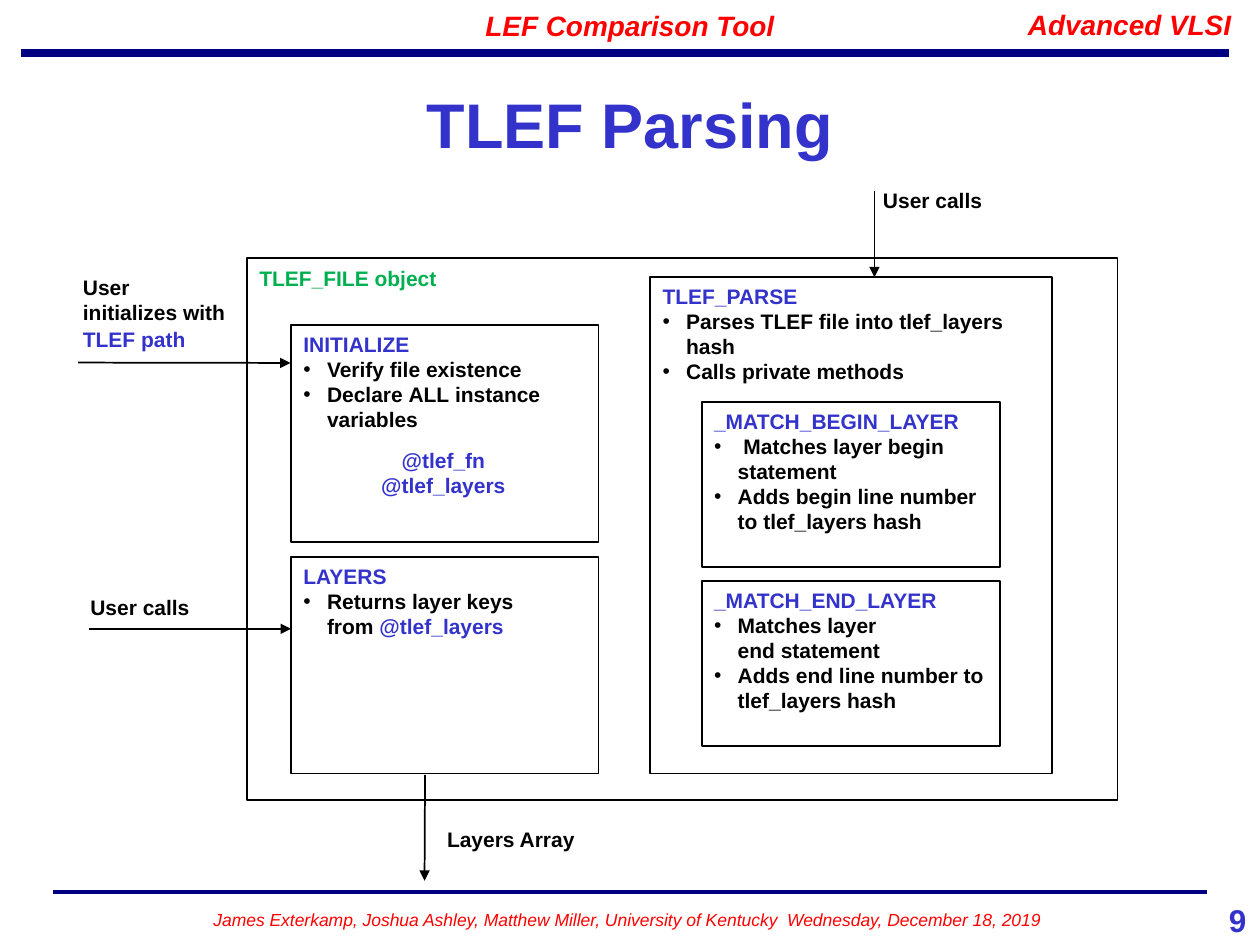
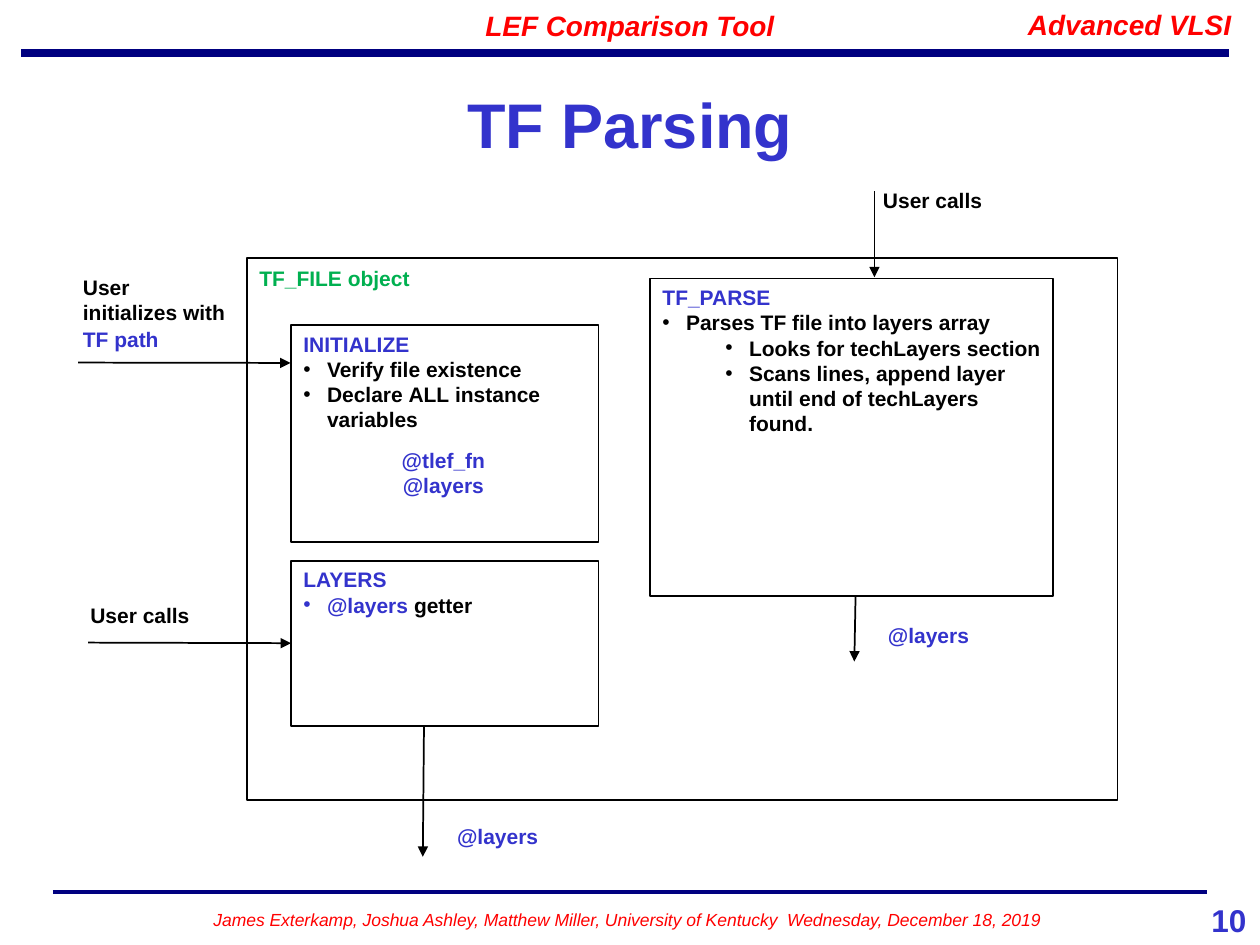
from lxml import etree
from pptx import Presentation
from pptx.dml import color
from pptx.enum import shapes, text
from pptx.oxml import ns
from pptx.util import Pt

BLUE, BLACK, RED, GREEN, NAVY, WHITE = "3333CC", "000000", "FF0000", "00B050", "000080", "FFFFFF"
FONT = "Arial"
NBSP = chr(160)
LEFT, CENTER, RIGHT = text.PP_ALIGN.LEFT, text.PP_ALIGN.CENTER, text.PP_ALIGN.RIGHT

COURSE = "Advanced VLSI"
PROJECT = "LEF Comparison Tool"
AUTHORS = ("James Exterkamp, Joshua Ashley, Matthew Miller, University of Kentucky"
           "  Wednesday, December 18, 2019")

BULLET_HANG = 13.5
SUB_INDENT = 36
METHOD_LEFT, METHOD_WIDTH = 166.3, 175.7
PARSE_LEFT = 371.5
MATCH_LEFT, MATCH_WIDTH, MATCH_HEIGHT = 401, 170.6, 94.3
INITIALIZE = ("INITIALIZE", ["Verify file existence",
                             f"Declare{NBSP}ALL{NBSP}instance variables"])

PAGES = [
    {
        "number": "9", "title": "TLEF Parsing", "format": "TLEF",
        "variables": ["@tlef_fn", "@tlef_layers"],
        "boxes": [
            ("TLEF_PARSE", ["Parses TLEF file into tlef_layers hash", "Calls private methods"],
             (PARSE_LEFT, 158.4, 229.7, 283.7)),
            ("_MATCH_BEGIN_LAYER", [" Matches layer begin statement",
                                    "Adds begin line number to tlef_layers hash"],
             (MATCH_LEFT, 229.7, MATCH_WIDTH, MATCH_HEIGHT)),
            ("_MATCH_END_LAYER", [f"Matches layer end{NBSP}statement",
                                  "Adds end line number to tlef_layers hash"],
             (MATCH_LEFT, 331.9, MATCH_WIDTH, MATCH_HEIGHT)),
            ("LAYERS", [[(f"Returns layer keys from{NBSP}", BLACK), ("@tlef_layers", BLUE)]],
             (METHOD_LEFT, 318.2, METHOD_WIDTH, 123.8)),
        ],
        "labels": [
            ("User calls", BLACK, LEFT, (44.6, 336.2, 105.1, 21.6)),
            ("Layers Array", BLACK, LEFT, (248.4, 468.7, 146.2, 21.6)),
        ],
        "arrows": [
            ((51.1, 359.3), (166.3, 359.3), None),
            ((242.9, 442.8), (242.6, 503.3), None),
        ],
    },
    {
        "number": "10", "title": "TF Parsing", "format": "TF",
        "variables": ["@tlef_fn", "@layers"],
        "boxes": [
            ("TF_PARSE", [f"Parses TF file into layers{NBSP}array",
                          ["Looks for techLayers section",
                           "Scans lines, append layer until end of techLayers found."]],
             (PARSE_LEFT, 159.1, 230.4, 181.4)),
            ("LAYERS", [[("@layers", BLUE), (" getter", BLACK)]],
             (METHOD_LEFT, 320.4, METHOD_WIDTH, MATCH_HEIGHT)),
        ],
        "labels": [
            ("User calls", BLACK, LEFT, (44.6, 340.6, 105.1, 21.6)),
            ("@layers", BLUE, CENTER, (473, 352.1, 115.2, 21.6)),
            ("@layers", BLUE, CENTER, (226.8, 467.3, 115.2, 21.6)),
        ],
        "arrows": [
            ((50.4, 367.2), (166.3, 367.6), "LAYERS"),
            ((488.9, 340.6), (488.2, 378)  , None),
            ((242.3, 414.7), (241.6, 489.6), None),
        ],
    },
]


def rgb(value):
    return color.RGBColor.from_string(value)


def points(values):
    return [Pt(value) for value in values]


def style(font, size, shade, bold=True, italic=False):
    font.name, font.size = FONT, Pt(size)
    font.bold, font.italic = bold, italic
    font.color.rgb = rgb(shade)


def write(para, spans, size=12, align=LEFT, bold=True, italic=False):
    para.alignment = align
    base = spans[0][1]
    style(para.font, size, base, bold, italic)
    for words, shade in spans:
        span = para.add_run()
        span.text = words
        if shade != base:
            span.font.color.rgb = rgb(shade)


def next_para(frame):
    first = frame.paragraphs[0]
    return frame.add_paragraph() if first.runs else first


def add_text(page, lines, shade, area, align=LEFT, **look):
    frame = page.shapes.add_textbox(*points(area)).text_frame
    frame.word_wrap = True
    for line in lines:
        write(next_para(frame), [(line, shade)], align=align, **look)


def add_bullet(frame, spans, level=0):
    para = next_para(frame)
    write(para, spans)
    para.level = level
    props = para._p.get_or_add_pPr()
    props.set("marL", str(Pt(BULLET_HANG + level * SUB_INDENT)))
    props.set("indent", str(-Pt(BULLET_HANG)))
    marks = [etree.Element(ns.qn("a:buFont"), typeface=FONT),
             etree.Element(ns.qn("a:buChar"), char="•")]
    for place, mark in enumerate(marks):
        props.insert(place, mark)


def add_rectangle(page, area, fill=None):
    box = page.shapes.add_shape(shapes.MSO_SHAPE.RECTANGLE, *points(area))
    box.shadow.inherit = False
    box.line.color.rgb = rgb(BLACK)
    box.line.width = Pt(1)
    if fill:
        box.fill.solid()
        box.fill.fore_color.rgb = rgb(fill)
    else:
        box.fill.background()
    return box


def add_method(page, name, items, area):
    box = add_rectangle(page, area, WHITE)
    frame = box.text_frame
    frame.word_wrap = True
    frame.vertical_anchor = text.MSO_ANCHOR.TOP
    write(next_para(frame), [(name, BLUE)])
    for item in items:
        if isinstance(item, str):
            add_bullet(frame, [(item, BLACK)])
        elif isinstance(item[0], tuple):
            add_bullet(frame, item)
        else:
            for sub in item:
                add_bullet(frame, [(sub, BLACK)], level=1)
    return box


def add_line(page, start, end, shade=BLACK, width=1.0):
    line = page.shapes.add_connector(shapes.MSO_CONNECTOR.STRAIGHT, *points(start + end))
    line.line.color.rgb = rgb(shade)
    line.line.width = Pt(width)
    etree.SubElement(line._element.spPr, ns.qn("a:effectLst"))
    return line


def add_arrow(page, start, end, target=None):
    arrow = add_line(page, start, end)
    etree.SubElement(arrow.line._get_or_add_ln(), ns.qn("a:tailEnd"), type="triangle")
    if target is not None:
        arrow.end_connect(target, 1)


def add_common(page, title, number):
    add_line(page, (12.2, 30.2), (702, 30.2), NAVY, 4.5)
    add_line(page, (30.2, 509.8), (689.8, 509.8), NAVY, 2.25)
    add_text(page, [COURSE], RED, (571, 0.7, 139.7, 26.6), RIGHT, size=16, italic=True)
    add_text(page, [AUTHORS], RED, (30.2, 516.2, 655.9, 19.4), CENTER,
             size=10, bold=False, italic=True)
    add_text(page, [number], BLUE, (648, 511.2, 71.3, 28.8), RIGHT, size=18)
    add_text(page, [PROJECT], RED, (0, 1.4, 720, 26.6), CENTER, size=16, italic=True)
    heading = page.shapes.title
    heading.left, heading.top, heading.width, heading.height = points((54, 40.3, 612, 59.8))
    heading.text_frame.vertical_anchor = text.MSO_ANCHOR.MIDDLE
    write(heading.text_frame.paragraphs[0], [(title, BLUE)], size=36, align=CENTER)


def add_diagram(page, content):
    kind = content["format"]
    add_rectangle(page, (141.1, 147.6, 497.5, 309.6))
    add_text(page, [f"{kind}_FILE object"], GREEN, (141.1, 148.3, 216, 21.6))
    add_method(page, *INITIALIZE, (METHOD_LEFT, 185.8, METHOD_WIDTH, 123.8))
    add_text(page, content["variables"], BLUE, (195.8, 252, 115.2, 36), CENTER)
    add_text(page, [f"User initializes{NBSP}with"], BLACK, (40.3, 153.4, 105.1, 36))
    add_text(page, [f"{kind} path"], BLUE, (40.3, 182.9, 105.1, 21.6))
    add_text(page, ["User calls"], BLACK, (497.5, 103.7, 105.1, 21.6))
    add_arrow(page, (44.6, 207.2), (166, 207.4))
    add_arrow(page, (499.7, 109.4), (499.7, 158.4))

    methods = {name: add_method(page, name, items, area)
               for name, items, area in content["boxes"]}
    for words, shade, align, area in content["labels"]:
        add_text(page, [words], shade, area, align)
    for start, end, target in content["arrows"]:
        add_arrow(page, start, end, methods.get(target))


def main():
    deck = Presentation()
    deck.slide_width, deck.slide_height = Pt(720), Pt(540)
    for content in PAGES:
        page = deck.slides.add_slide(deck.slide_layouts[5])
        add_common(page, content["title"], content["number"])
        add_diagram(page, content)
    deck.save("out.pptx")


if __name__ == "__main__":
    main()
